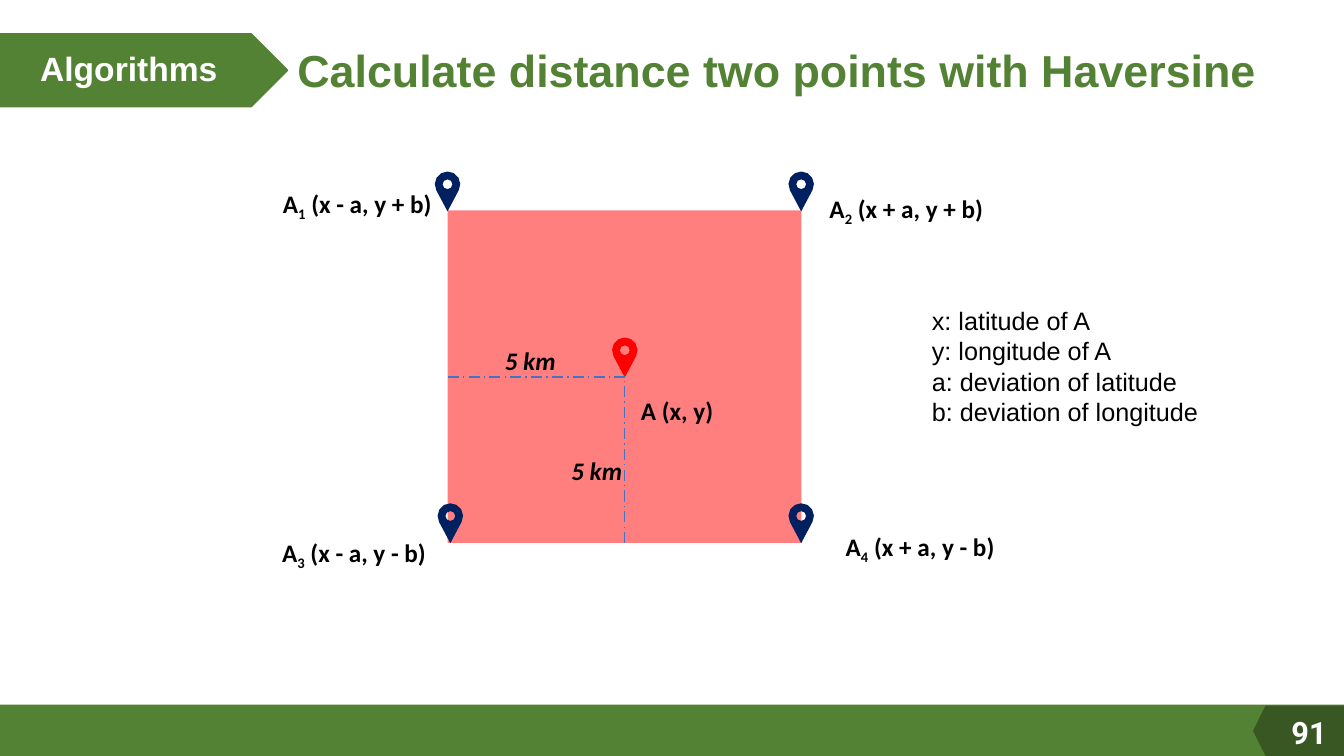
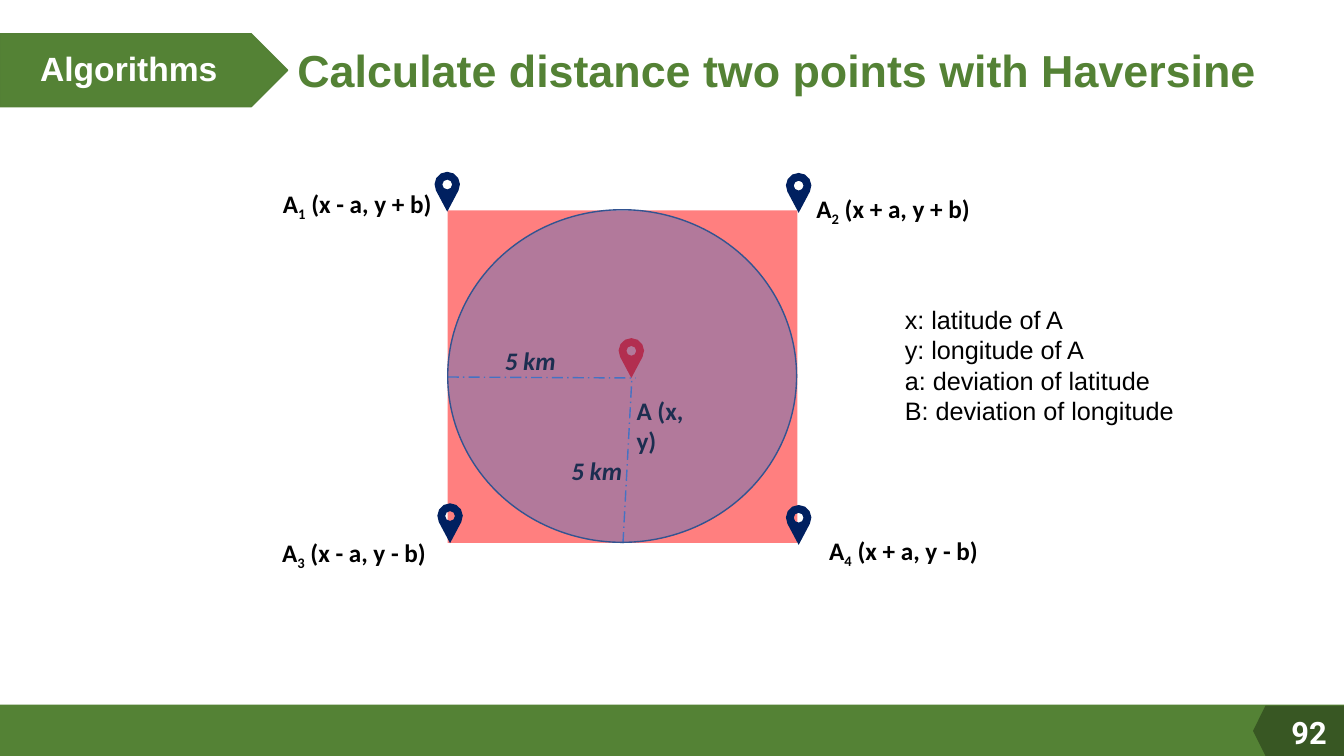
from math import acos, cos, pi, sin

from lxml import etree
from pptx import Presentation
from pptx.dml.color import RGBColor
from pptx.enum.dml import MSO_LINE
from pptx.enum.shapes import MSO_CONNECTOR, MSO_SHAPE
from pptx.enum.text import MSO_ANCHOR, MSO_AUTO_SIZE, PP_ALIGN
from pptx.oxml.ns import qn
from pptx.util import Pt

RECT = MSO_SHAPE.RECTANGLE
ARROW = MSO_SHAPE.PENTAGON
DISC = MSO_SHAPE.FLOWCHART_CONNECTOR
STRAIGHT = MSO_CONNECTOR.STRAIGHT
DASH = MSO_LINE.LONG_DASH_DOT
TOP, MIDDLE = MSO_ANCHOR.TOP, MSO_ANCHOR.MIDDLE
LEFT, RIGHT = PP_ALIGN.LEFT, PP_ALIGN.RIGHT


class Theme:
    green, rim, dark = "548235", "538035", "385723"
    red, navy, blue, edge = "FF0000", "002060", "4472C4", "325491"
    white, black = "FFFFFF", "000000"
    sans, label, number = "Arial", "Calibri", "Roboto"
    title, tag, page, body = 32, 24, 22, 18


def paint(shape, fill, line=None, alpha=None):
    """Give a shape a flat fill, with an optional outline and opacity."""
    shape.shadow.inherit = False
    shape.fill.solid()
    shape.fill.fore_color.rgb = RGBColor.from_string(fill)
    if alpha:
        color = shape._element.spPr.find(qn("a:solidFill"))[0]
        etree.SubElement(color, qn("a:alpha")).set("val", str(alpha * 1000))
    if line:
        shape.line.color.rgb = RGBColor.from_string(line)
        shape.line.width = Pt(1)
    else:
        shape.line.fill.background()


def write(shape, text, font, size, color, bold=True, italic=False, align=LEFT):
    """Fill a shape with text; a part between underscores is a subscript."""
    frame = shape.text_frame
    frame.word_wrap = True
    for i, row in enumerate(text.split("\n")):
        para = frame.add_paragraph() if i else frame.paragraphs[0]
        para.alignment = align
        for k, part in enumerate(row.split("_")):
            run = para.add_run()
            run.text = part
            run.font.name, run.font.size = font, Pt(size)
            run.font.bold, run.font.italic = bold, italic
            run.font.color.rgb = RGBColor.from_string(color)
            if k % 2:
                run._r.get_or_add_rPr().set("baseline", "-25000")


# Pin outline and hole, relative to the tip
HEAD, HOLE, RISE = 9.1, 3.5, 19.4
ARCS, SIDES = 8, 8
turn = acos(HEAD / RISE)
angles = [turn + (2 * pi - 2 * turn) * i / ARCS for i in range(ARCS + 1)]
drop = [(HEAD * sin(a), HEAD * cos(a) - RISE) for a in angles]
ring = [(HOLE * cos(2 * pi * i / SIDES), HOLE * sin(2 * pi * i / SIDES) - RISE)
        for i in range(SIDES)]

# What differs between the slides
LEGEND = "x: latitude of A\ny: longitude of A\na: deviation of latitude\n"
SIDE = 319.8
plans = [
    dict(page="91", width=252.7, disc=False,
         pins=[(319.7, 151), (572.3, 151), (321.7, 388), (572.3, 388)],
         spots=[(195, 131), (585.4, 134.6), (194.4, 380.2), (597, 375.8)],
         mid=(446.3, 269.6), name=(450.7, 91),
         rays=[(SIDE, 269.2, 446.2, 269.2), (446.2, 388, 446.2, 270)],
         legend=(658.6, 214.6), last="b: deviation of longitude"),
    dict(page="92", width=249.8, disc=True,
         pins=[(319.5, 151.2), (570.5, 152), (321.5, 388), (570.5, 389.2)],
         spots=[(195, 131), (576, 134.6), (194.4, 380.2), (585.2, 378.7)],
         mid=(451, 270), name=(447.6, 63),
         rays=[(SIDE, 269.3, 454, 270), (445, 388, 451.4, 269.3)],
         legend=(639.2, 213.9), last="B: deviation of longitude"),
]
corners = ["A_1_ (x - a, y + b)", "A_2_ (x + a, y + b)",
           "A_3_ (x - a, y - b)", "A_4_ (x + a, y - b)"]

deck = Presentation()
deck.slide_width, deck.slide_height = Pt(960), Pt(540)

for plan in plans:
    slide = deck.slides.add_slide(deck.slide_layouts[5])
    shapes = slide.shapes

    # Title
    title = shapes.title
    title.left, title.top, title.width, title.height = Pt(205.2), Pt(27.2), Pt(710), Pt(46)
    title.text_frame.auto_size = MSO_AUTO_SIZE.NONE
    title.text_frame.vertical_anchor = TOP
    write(title, "Calculate distance two points with Haversine",
          Theme.sans, Theme.title, Theme.green)

    # Search area
    area = shapes.add_shape(RECT, Pt(SIDE), Pt(150.3), Pt(plan["width"]), Pt(237.6))
    paint(area, Theme.red, alpha=50)

    # Section tag
    arrow = shapes.add_shape(ARROW, 0, Pt(24.2), Pt(205.5), Pt(52))
    paint(arrow, Theme.green, Theme.rim)
    tag = shapes.add_textbox(Pt(21.6), Pt(18.7), Pt(173.5), Pt(64))
    tag.text_frame.vertical_anchor = MIDDLE
    write(tag, "Algorithms", Theme.sans, Theme.tag, Theme.white)
    tag.text_frame.paragraphs[0].line_spacing = 0.9

    # Footer band and page number
    band = shapes.add_shape(RECT, 0, Pt(503.3), Pt(960), Pt(36.7))
    paint(band, Theme.green)
    pen = shapes.build_freeform(Pt(904), Pt(504))
    pen.add_line_segments([(Pt(x), Pt(y)) for x, y in
                           [(960, 504), (960, 540), (904, 540), (895, 522)]])
    paint(pen.convert_to_shape(), Theme.dark)
    page = shapes.add_textbox(Pt(900.7), Pt(506.2), Pt(54), Pt(34))
    write(page, plan["page"], Theme.number, Theme.page, Theme.white, align=RIGHT)

    # Map pins
    tips = [(tip, Theme.navy) for tip in plan["pins"]] + [(plan["mid"], Theme.red)]
    for (x, y), color in tips:
        pen = shapes.build_freeform(Pt(x), Pt(y))
        pen.add_line_segments([(Pt(x + dx), Pt(y + dy)) for dx, dy in drop])
        hole = [(Pt(x + dx), Pt(y + dy)) for dx, dy in ring]
        pen.move_to(*hole[0])
        pen.add_line_segments(hole[1:])
        paint(pen.convert_to_shape(), color)

    # Distance lines
    for ray in plan["rays"]:
        line = shapes.add_connector(STRAIGHT, *[Pt(v) for v in ray])
        line.line.color.rgb = RGBColor.from_string(Theme.blue)
        line.line.width = Pt(1)
        line.line.dash_style = DASH
        etree.SubElement(line._element.spPr, qn("a:effectLst"))

    # Point and distance labels
    left, wide = plan["name"]
    notes = [(text, x, y, 142, False) for text, (x, y) in zip(corners, plan["spots"])]
    notes += [("A (x, y)", left, 278.6, wide, False),
              ("5 km", 353.5, 243.4, 55, True), ("5 km", 401, 321.8, 55, True)]
    for text, x, y, w, slant in notes:
        box = shapes.add_textbox(Pt(x), Pt(y), Pt(w), Pt(29))
        write(box, text, Theme.label, Theme.body, Theme.black, italic=slant)

    # Legend
    x, y = plan["legend"]
    key = shapes.add_textbox(Pt(x), Pt(y), Pt(208), Pt(94))
    write(key, LEGEND + plan["last"], Theme.sans, Theme.body, Theme.black, bold=False)

    # Circle of reach
    if plan["disc"]:
        disc = shapes.add_shape(DISC, Pt(SIDE), Pt(149.8), Pt(249.2), Pt(237.6))
        paint(disc, Theme.blue, Theme.edge, alpha=41)

deck.save("out.pptx")
